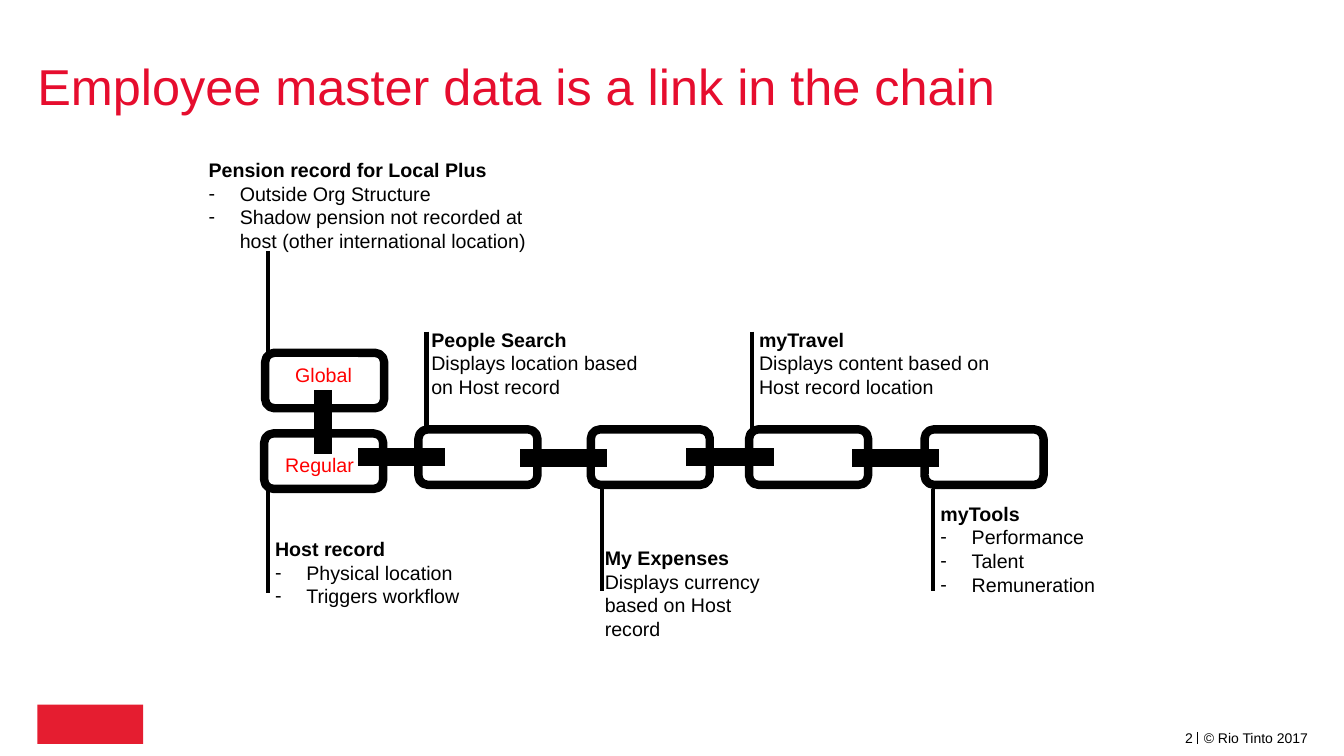
"""Build a slide that shows employee master data as links in a chain."""
from lxml import etree
from pptx import Presentation
from pptx.dml.color import RGBColor
from pptx.enum.shapes import MSO_CONNECTOR, MSO_SHAPE
from pptx.enum.text import MSO_ANCHOR, PP_ALIGN
from pptx.oxml.ns import qn
from pptx.util import Inches, Pt

BLACK = RGBColor(0x00, 0x00, 0x00)
RED = RGBColor(0xFF, 0x00, 0x00)
TITLE_RED = RGBColor(0xE6, 0x0D, 0x2E)
BADGE_RED = RGBColor(0xE5, 0x1D, 0x30)
FONT = "Arial"
INDENT = Inches(0.31)

LINK_WIDTH, LINK_HEIGHT = 1.18, 0.55
CHAIN_TOP = 4.26
LINKS = [(2.63, 3.5), (2.62, 4.3)] + [(left, CHAIN_TOP) for left in (4.15, 5.86, 7.43, 9.17)]
BARS = [(3.39, 4.15), (5, 4.16), (6.65, 4.15), (8.29, 4.16)]
BAR_WIDTH, BAR_HEIGHT = 1.18, 0.77
LEADER_LENGTH = 1.01
LEADERS = [(2.66, 2.49), (2.66, 4.87), (4.23, 3.29), (5.97, 4.85), (7.46, 3.29), (9.25, 4.85)]

NOTES = [
    (1.97, 1.52, 3.69, 1.28, "Pension record for Local Plus", True,
     ["Outside Org Structure",
      "Shadow pension not recorded at host (other international location)"]),
    (2.63, 5.28, 2.04, 0.81, "Host record", True, ["Physical location", "Triggers workflow"]),
    (4.18, 3.2, 2.47, 0.81, "People Search", False, ["Displays location based on Host record"]),
    (9.23, 4.93, 1.8, 1.04, "myTools", True, ["Performance", "Talent", "Remuneration"]),
    (7.43, 3.2, 2.73, 0.81, "myTravel", False,
     ["Displays content based on Host record location"]),
    (5.9, 5.37, 1.93, 1.28, "My Expenses", False, ["Displays currency based on Host record"]),
]


def set_font(para, size, color, bold=False):
    """Set the font of a whole paragraph."""
    para.font.name = FONT
    para.font.size = Pt(size)
    para.font.color.rgb = color
    para.font.bold = bold


def add_dash(para):
    """Give a paragraph a dash bullet with a hanging indent."""
    props = para._p.get_or_add_pPr()
    props.set("marL", str(INDENT))
    props.set("indent", str(-INDENT))
    etree.SubElement(props, qn("a:buFont"), typeface=FONT)
    etree.SubElement(props, qn("a:buChar"), char="-")


def add_title(page, text):
    """Place and format the title placeholder."""
    title = page.shapes.title
    title.left, title.top = Inches(0.37), Inches(0.26)
    title.width, title.height = Inches(12.6), Inches(1.26)
    frame = title.text_frame
    frame.text = text
    frame.margin_left = 0
    frame.vertical_anchor = MSO_ANCHOR.MIDDLE
    para = frame.paragraphs[0]
    para.alignment = PP_ALIGN.LEFT
    para.line_spacing = 0.9
    set_font(para, 36, TITLE_RED)


def add_label(page, left, top, width, height, text, size, color, align=PP_ALIGN.LEFT):
    """Add a one-line text box and return its frame."""
    box = page.shapes.add_textbox(Inches(left), Inches(top), Inches(width), Inches(height))
    frame = box.text_frame
    frame.word_wrap = False
    para = frame.paragraphs[0]
    para.text = text
    para.alignment = align
    set_font(para, size, color)
    return frame


def add_note(page, left, top, width, height, heading, dashed, lines):
    """Add a bold heading with plain or dashed lines below it."""
    frame = add_label(page, left, top, width, height, heading, 14, BLACK)
    frame.word_wrap = True
    frame.paragraphs[0].font.bold = True
    for line in lines:
        para = frame.add_paragraph()
        para.text = line
        if dashed:
            add_dash(para)
        set_font(para, 14, BLACK)


def add_filled(page, kind, left, top, width, height, color):
    """Add a filled preset shape with no outline."""
    shape = page.shapes.add_shape(kind, Inches(left), Inches(top), Inches(width), Inches(height))
    shape.shadow.inherit = False
    shape.fill.solid()
    shape.fill.fore_color.rgb = color
    shape.line.fill.background()
    return shape


def add_link(page, left, top):
    """Add one hollow chain link."""
    link = page.shapes.add_shape(MSO_SHAPE.ROUNDED_RECTANGLE, Inches(left), Inches(top),
                                 Inches(LINK_WIDTH), Inches(LINK_HEIGHT))
    link.shadow.inherit = False
    link.fill.background()
    link.line.color.rgb = BLACK
    link.line.width = Pt(6)


def add_vertical(page, left, top, length, weight):
    """Add a vertical black line."""
    line = page.shapes.add_connector(MSO_CONNECTOR.STRAIGHT, Inches(left), Inches(top),
                                     Inches(left), Inches(top + length))
    line.line.color.rgb = BLACK
    line.line.width = Pt(weight)
    etree.SubElement(line._element.spPr, qn("a:effectLst"))


def add_footer(page):
    """Add the badge, the page number and the copyright line."""
    add_filled(page, MSO_SHAPE.RECTANGLE, 0.37, 6.99, 1.05, 0.39, BADGE_RED)
    add_label(page, 11.82, 7.19, 1.25, 0.27, "© Rio Tinto 2017", 10, BLACK, PP_ALIGN.RIGHT)
    add_vertical(page, 11.88, 7.26, 0.12, 0.5)
    number = add_label(page, 11.44, 7.25, 0.39, 0.15, "2", 10, BLACK, PP_ALIGN.RIGHT)
    number.word_wrap = True
    number.vertical_anchor = MSO_ANCHOR.MIDDLE
    number.margin_left = number.margin_right = number.margin_top = number.margin_bottom = 0


def main():
    """Build and save the deck."""
    deck = Presentation()
    deck.slide_width, deck.slide_height = Inches(13.33), Inches(7.5)
    page = deck.slides.add_slide(deck.slide_layouts[5])
    add_title(page, "Employee master data is a link in the chain")
    add_footer(page)
    for left, top in LINKS:
        add_link(page, left, top)
    for left, top in BARS:
        add_filled(page, MSO_SHAPE.MATH_MINUS, left, top, BAR_WIDTH, BAR_HEIGHT, BLACK)
    upright = add_filled(page, MSO_SHAPE.MATH_MINUS, 2.77, 3.8, 0.87, BAR_HEIGHT, BLACK)
    upright.rotation = 270
    for left, top in LEADERS:
        add_vertical(page, left, top, LEADER_LENGTH, 3)
    for note in NOTES:
        add_note(page, *note)
    add_label(page, 2.73, 4.44, 0.89, 0.34, "Regular", 14, RED)
    add_label(page, 2.83, 3.55, 0.77, 0.34, "Global", 14, RED)
    deck.save("out.pptx")


if __name__ == "__main__":
    main()
